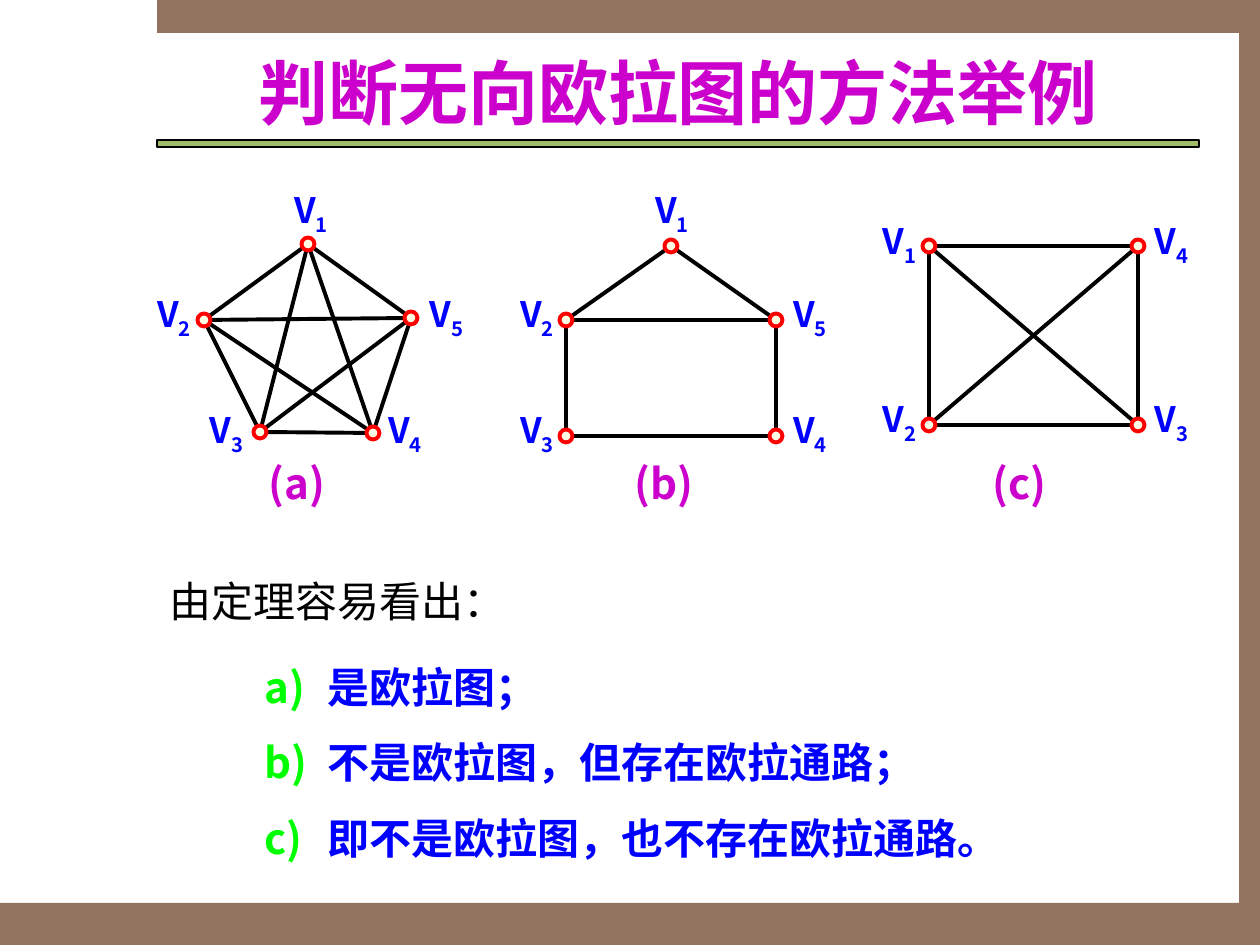
from itertools import combinations

from lxml import etree
from pptx import Presentation
from pptx.dml.color import RGBColor
from pptx.enum.shapes import MSO_CONNECTOR, MSO_SHAPE
from pptx.enum.text import MSO_ANCHOR, PP_ALIGN
from pptx.oxml.ns import qn
from pptx.util import Pt

EMU_PER_PX = 914400 / 126
FONT = "Noto Sans CJK SC"
BROWN = RGBColor(0x91, 0x73, 0x5F)
GREEN = RGBColor(0xA1, 0xBD, 0x69)
LIME = RGBColor(0x00, 0xFF, 0x00)
PURPLE = RGBColor(0xCC, 0x00, 0xCC)
BLUE = RGBColor(0x00, 0x00, 0xFF)
RED = RGBColor(0xFF, 0x00, 0x00)
CREAM = RGBColor(0xFE, 0xFD, 0xE3)
BLACK = RGBColor(0x00, 0x00, 0x00)

FRAME_BARS = [(0, 903, 1260, 42), (157, 0, 1103, 33), (1239, 32, 21, 871)]
VERTEX_SIZE = 13
CONCLUSIONS = ["是欧拉图；", "不是欧拉图，但存在欧拉通路；", "即不是欧拉图，也不存在欧拉通路。"]

# Each graph: caption, caption left, vertex number -> (centre, label corner), edges
GRAPHS = [
    ("(a)", 256, {
        1: ((308, 244), (294, 179)), 2: ((204, 320), (157, 283)),
        3: ((260, 432), (210, 399)), 4: ((373, 433), (388, 399)),
        5: ((411, 318), (430, 283)),
    }, list(combinations(range(1, 6), 2))),
    ("(b)", 622, {
        1: ((671, 246), (655, 179)), 2: ((566, 320), (520, 283)),
        3: ((566, 436), (520, 399)), 4: ((776, 436), (793, 399)),
        5: ((776, 320), (793, 283)),
    }, [(1, 2), (2, 3), (3, 4), (4, 5), (1, 5), (2, 5)]),
    ("(c)", 980, {
        1: ((929, 246), (883, 210)), 2: ((929, 425), (883, 388)),
        3: ((1138, 425), (1155, 388)), 4: ((1138, 246), (1155, 210)),
    }, list(combinations(range(1, 5), 2))),
]


def px(*lengths):
    return [round(length * EMU_PER_PX) for length in lengths]


def add_preset(shapes, kind, box, fill, line=None, width=0.75):
    shape = shapes.add_shape(kind, *px(*box))
    shape.shadow.inherit = False
    shape.fill.solid()
    shape.fill.fore_color.rgb = fill
    if line is None:
        shape.line.fill.background()
    else:
        shape.line.color.rgb = line
        shape.line.width = Pt(width)


def add_edge(shapes, start, end):
    connector = shapes.add_connector(MSO_CONNECTOR.STRAIGHT, *px(*start, *end))
    connector.line.color.rgb = BLACK
    connector.line.width = Pt(2.25)
    etree.SubElement(connector._element.spPr, qn("a:effectLst"))


def add_frame(shapes, box, margins=True):
    frame = shapes.add_textbox(*px(*box)).text_frame
    frame.word_wrap = True
    if not margins:
        frame.margin_left = frame.margin_right = 0
        frame.margin_top = frame.margin_bottom = 0
    return frame


def add_run(paragraph, text, size, color, bold=True):
    run = paragraph.add_run()
    run.text = text
    run.font.size = Pt(size)
    run.font.bold = bold
    run.font.color.rgb = color
    run.font.name = FONT
    east_asian = etree.SubElement(run.font._element, qn("a:ea"))
    east_asian.set("typeface", FONT)
    return run


def add_line_of_text(shapes, box, text, size, color, bold=True, spacing=1.2):
    frame = add_frame(shapes, box)
    paragraph = frame.paragraphs[0]
    paragraph.line_spacing = spacing
    add_run(paragraph, text, size, color, bold)
    return frame


def add_vertex_label(shapes, corner, number):
    paragraph = add_frame(shapes, (*corner, 42, 63), margins=False).paragraphs[0]
    paragraph.line_spacing = 1.2
    add_run(paragraph, "V", 20, BLUE)
    subscript = add_run(paragraph, str(number), 20, BLUE)
    subscript.font._element.set("baseline", "-25000")


def add_graph(slide, caption, caption_left, vertices, edges):
    shapes = slide.shapes.add_group_shape().shapes
    for number, (_, corner) in vertices.items():
        add_vertex_label(shapes, corner, number)
    for first, second in edges:
        add_edge(shapes, vertices[first][0], vertices[second][0])
    add_line_of_text(shapes, (caption_left, 441, 101, 73), caption, 24, PURPLE)
    # Vertices lie over the edge ends
    for (x, y), _ in vertices.values():
        box = (x - VERTEX_SIZE / 2, y - VERTEX_SIZE / 2, VERTEX_SIZE, VERTEX_SIZE)
        add_preset(shapes, MSO_SHAPE.OVAL, box, CREAM, RED, 2.25)


def add_lettering(paragraph):
    properties = paragraph._p.get_or_add_pPr()
    indent = px(63)[0]
    properties.set("marL", str(indent))
    properties.set("indent", str(-indent))
    color = etree.SubElement(properties, qn("a:buClr"))
    etree.SubElement(color, qn("a:srgbClr")).set("val", str(LIME))
    etree.SubElement(properties, qn("a:buAutoNum")).set("type", "alphaLcParenR")


def add_conclusions(shapes, box, items):
    frame = add_frame(shapes, box)
    for index, item in enumerate(items):
        paragraph = frame.add_paragraph() if index else frame.paragraphs[0]
        add_lettering(paragraph)
        paragraph.line_spacing = 1.5
        add_run(paragraph, item, 24, BLUE)


def main():
    presentation = Presentation()
    presentation.slide_width, presentation.slide_height = px(1260, 945)
    slide = presentation.slides.add_slide(presentation.slide_layouts[6])
    shapes = slide.shapes

    # Border bars and the rule under the title
    for bar in FRAME_BARS:
        add_preset(shapes, MSO_SHAPE.RECTANGLE, bar, BROWN)
    add_preset(shapes, MSO_SHAPE.RECTANGLE, (157, 140, 1042, 7), GREEN, BLACK)

    # Title
    title = add_line_of_text(shapes, (157, 42, 1042, 100),
                             "判断无向欧拉图的方法举例", 40, PURPLE, spacing=1.0)
    title.vertical_anchor = MSO_ANCHOR.MIDDLE
    title.paragraphs[0].alignment = PP_ALIGN.CENTER

    # Conclusions
    intro = add_line_of_text(shapes, (157, 559, 1061, 73),
                             "由定理容易看出：", 24, BLACK, bold=False)
    intro.paragraphs[0].alignment = PP_ALIGN.JUSTIFY
    add_conclusions(shapes, (252, 630, 777, 239), CONCLUSIONS)

    # Three graphs
    for graph in GRAPHS:
        add_graph(slide, *graph)

    presentation.save("out.pptx")


if __name__ == "__main__":
    main()
